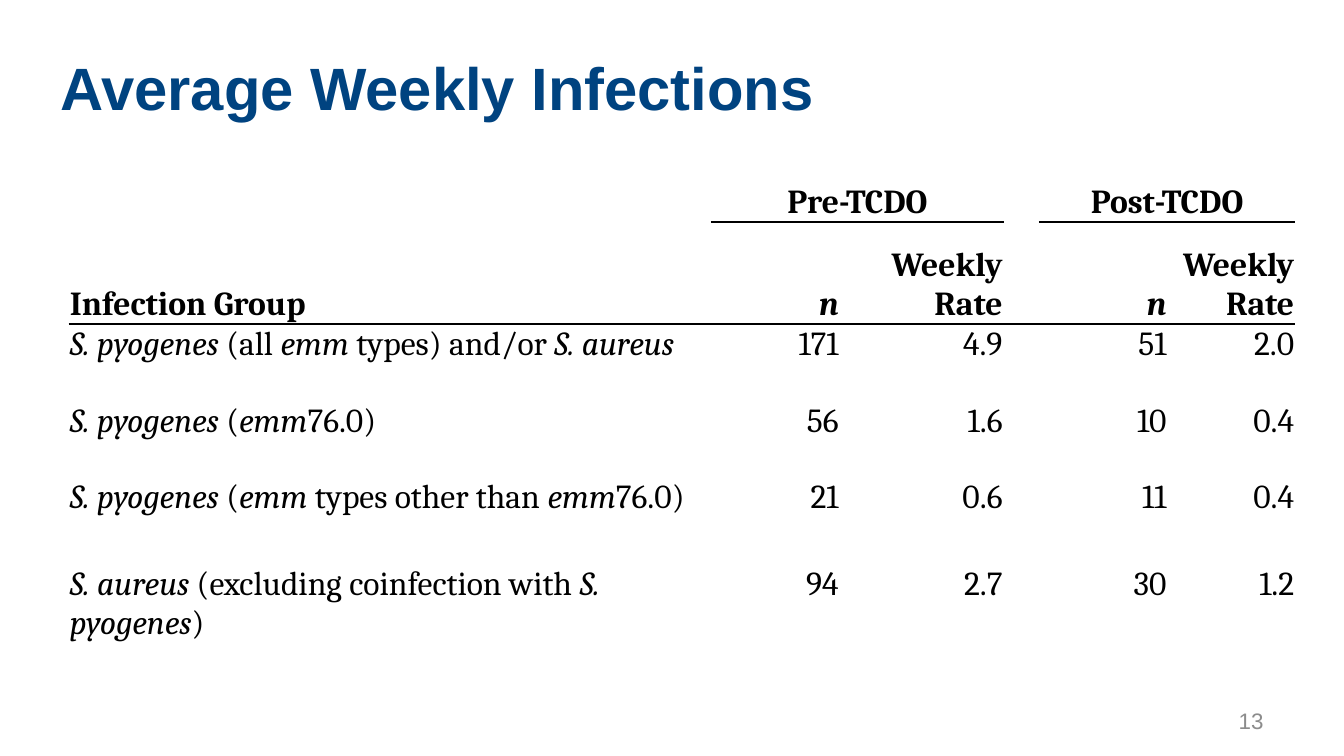
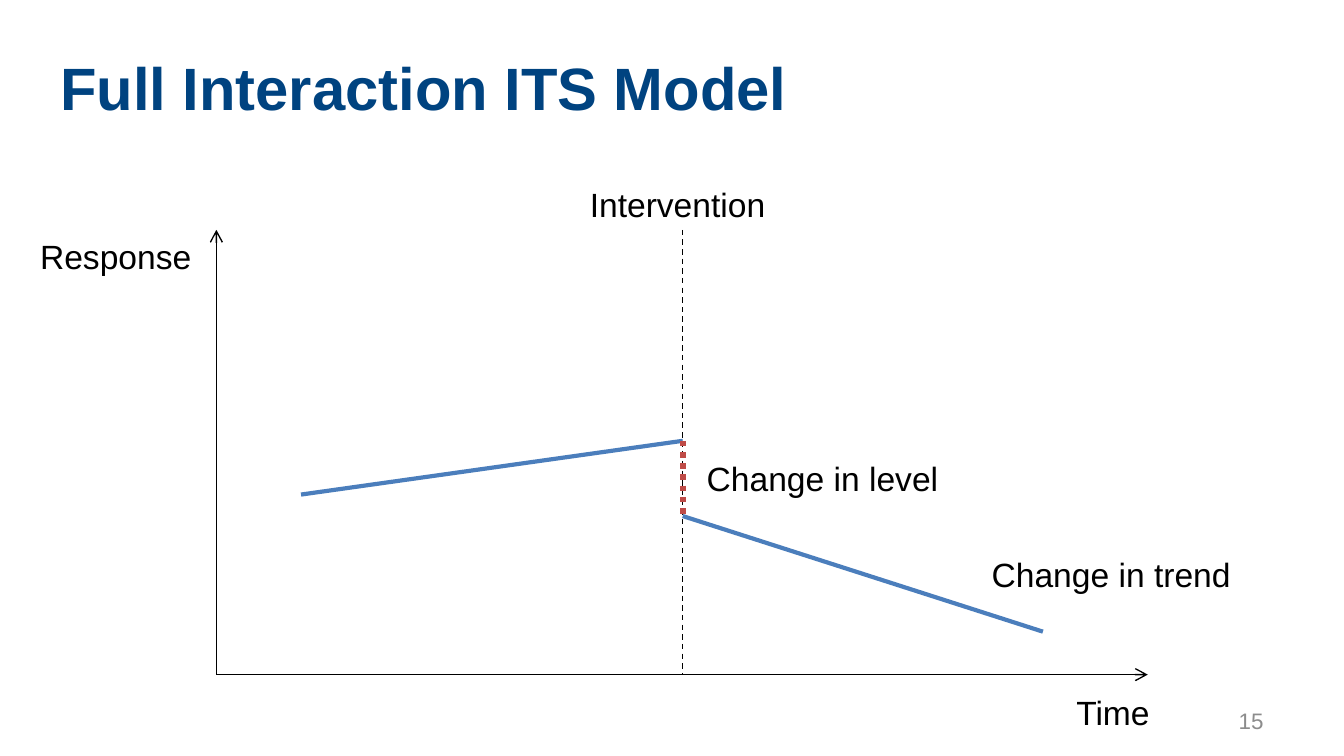
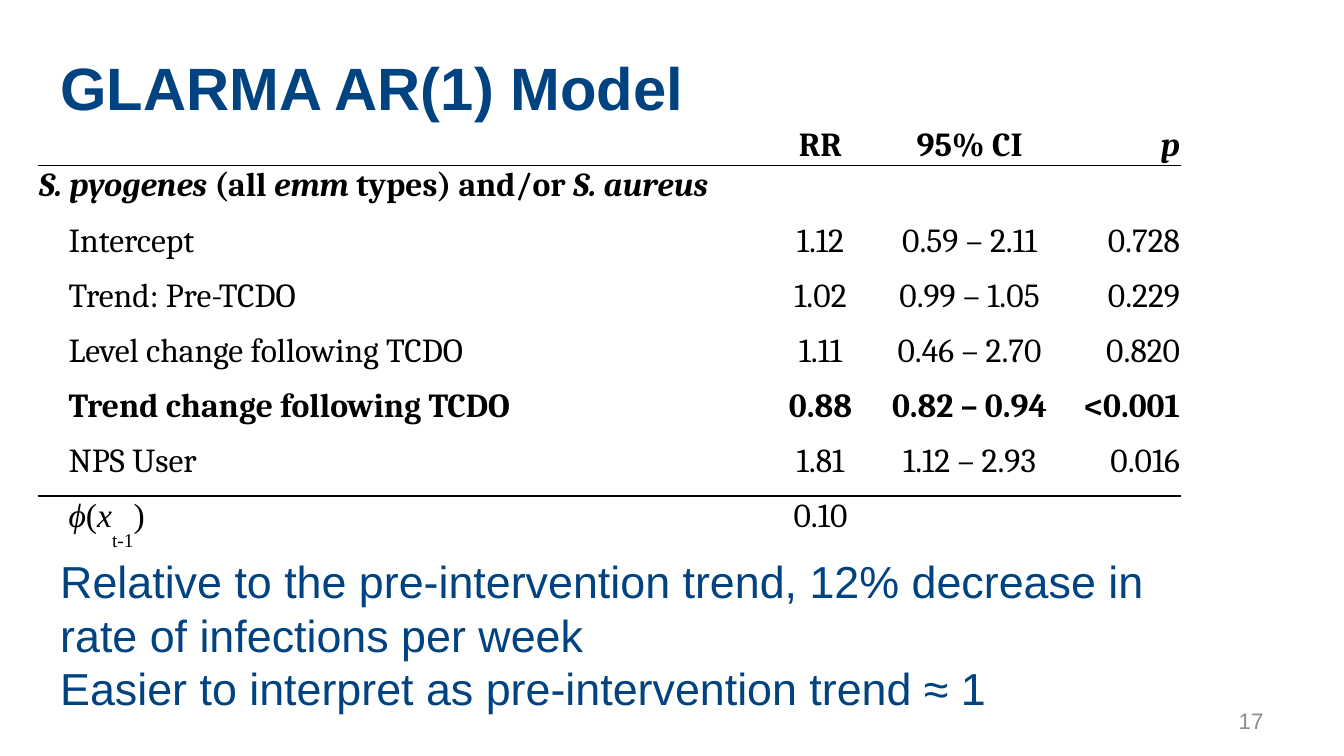
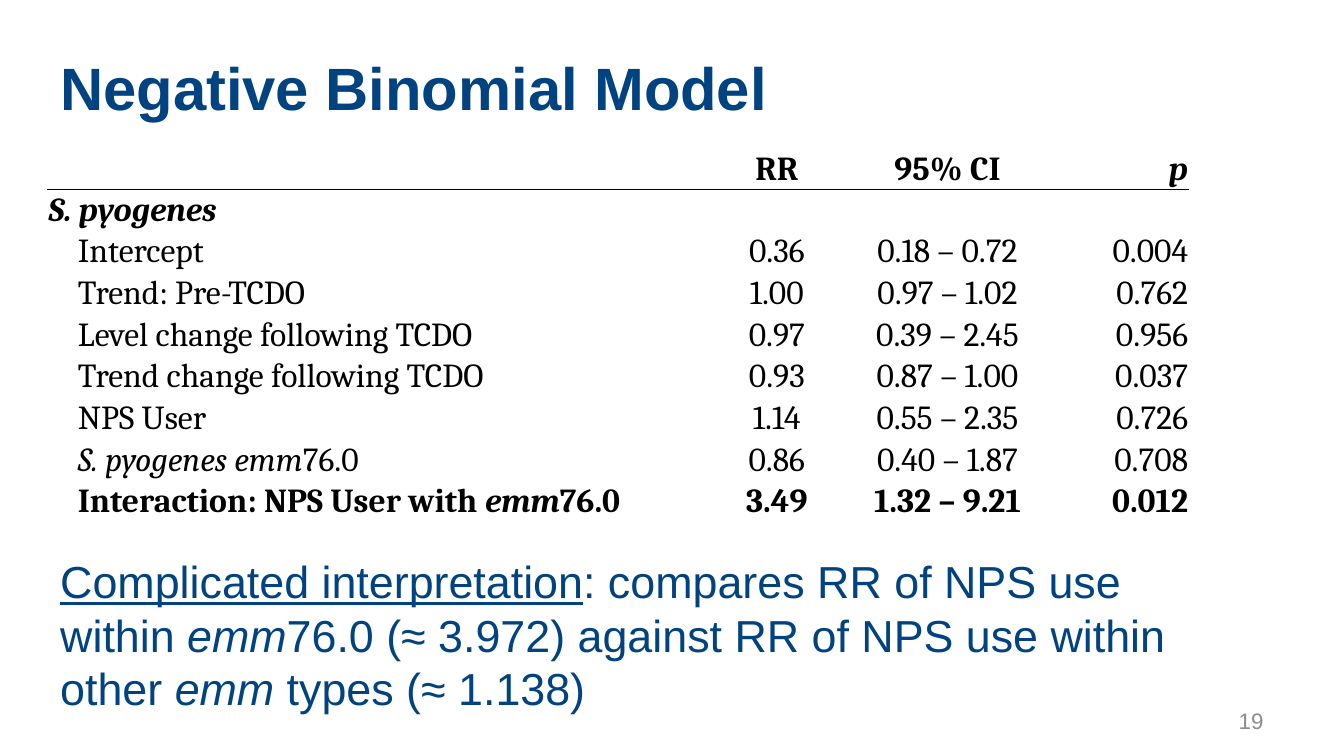
from dataclasses import dataclass

from lxml.etree import SubElement
from pptx import Presentation
from pptx.dml.color import RGBColor
from pptx.enum.dml import MSO_LINE
from pptx.enum.shapes import MSO_CONNECTOR
from pptx.enum.text import MSO_ANCHOR, PP_ALIGN
from pptx.oxml.ns import qn
from pptx.util import Pt

EMU_PER_PX = 9144  # 100 px to the inch
NO_TABLE_STYLE = "{2D5ABB26-0587-4C30-8999-92F81FD0307C}"
ALIGNMENTS = {"l": PP_ALIGN.LEFT, "c": PP_ALIGN.CENTER, "r": PP_ALIGN.RIGHT}


@dataclass(frozen=True)
class Theme:
    navy: str = "004380"
    black: str = "000000"
    grey: str = "8C8C8C"
    blue: str = "4B7EBC"
    red: str = "BF4C48"
    sans: str = "Arial"
    serif: str = "Cambria"
    math: str = "Times New Roman"
    title_size: int = 32
    body_size: int = 24
    label_size: int = 18
    number_size: int = 12
    table_indent: int = 23


THEME = Theme()


def px(length):
    return length * EMU_PER_PX


# Text
def write(paragraph, text, size=THEME.label_size, font=THEME.sans, color=THEME.black,
          bold=False, underline=False, baseline=None):
    """Append text to a paragraph; parts between asterisks are italic."""
    for index, part in enumerate(text.split("*")):
        if not part:
            continue
        run = paragraph.add_run()
        run.text = part
        run.font.size = Pt(size)
        run.font.name = font
        run.font.color.rgb = RGBColor.from_string(color)
        run.font.bold = bold
        run.font.italic = index % 2 == 1
        run.font.underline = underline
        if baseline is not None:
            run.font._element.set("baseline", str(baseline * 1000))


def write_pieces(paragraph, content, **style):
    """Write a string, or a list of (text, format changes) pairs."""
    pieces = [(content, {})] if isinstance(content, str) else content
    for text, changes in pieces:
        write(paragraph, text, **{**style, **changes})


def add_text(slide, box, *paragraphs, align="l", anchor=MSO_ANCHOR.TOP, **style):
    frame = slide.shapes.add_textbox(*map(px, box)).text_frame
    frame.word_wrap = True
    frame.vertical_anchor = anchor
    for index, content in enumerate(paragraphs):
        paragraph = frame.add_paragraph() if index else frame.paragraphs[0]
        paragraph.alignment = ALIGNMENTS[align]
        write_pieces(paragraph, content, **style)


def add_body(slide, height, *paragraphs):
    add_text(slide, (35, 407, 890, height), *paragraphs,
             size=THEME.body_size, color=THEME.navy)


def add_titled_slide(presentation, title, number):
    slide = presentation.slides.add_slide(presentation.slide_layouts[6])
    add_text(slide, (35, 33, 835, 64), title,
             size=THEME.title_size, color=THEME.navy, bold=True)
    add_text(slide, (717, 521, 233, 30), str(number), align="r",
             anchor=MSO_ANCHOR.MIDDLE, size=THEME.number_size, color=THEME.grey)
    return slide


# Lines
def add_line(slide, start, end, color=THEME.black, width=0.75, dash=None, arrow=False):
    connector = slide.shapes.add_connector(
        MSO_CONNECTOR.STRAIGHT, *map(px, (*start, *end)))
    connector.line.color.rgb = RGBColor.from_string(color)
    connector.line.width = Pt(width)
    if dash:
        connector.line.dash_style = dash
    if arrow:
        SubElement(connector.line._ln, qn("a:tailEnd"), type="arrow")
    SubElement(connector._element.spPr, qn("a:effectLst"))


# Tables
def set_border(cell, side, visible):
    border = SubElement(cell._tc.get_or_add_tcPr(), qn(f"a:{side}"), w=str(Pt(1)))
    if visible:
        fill = SubElement(border, qn("a:solidFill"))
        SubElement(fill, qn("a:srgbClr"), val=THEME.black)
    else:
        SubElement(border, qn("a:noFill"))


def add_table(slide, corner, widths, heights, rows, alignments, rules,
              header_rows=1, bold_rows=(), indented_rows=(), merges=()):
    """Draw a table; rules holds the (row, column) cells underlined by a rule."""
    frame = slide.shapes.add_table(
        len(rows), len(widths), *map(px, (*corner, sum(widths), sum(heights))))
    table = frame.table
    table.first_row = table.horz_banding = False
    table._tbl.tblPr.find(qn("a:tableStyleId")).text = NO_TABLE_STYLE
    for column, width in zip(table.columns, widths):
        column.width = px(width)
    for row, height in zip(table.rows, heights):
        row.height = px(height)

    for row, contents in enumerate(rows):
        is_header = row < header_rows
        for column, content in enumerate(contents):
            cell = table.cell(row, column)
            is_indented = column == 0 and row in indented_rows
            cell.margin_left = px(THEME.table_indent if is_indented else 1)
            cell.margin_top = cell.margin_right = px(1)
            cell.margin_bottom = 0
            cell.vertical_anchor = MSO_ANCHOR.BOTTOM if is_header else MSO_ANCHOR.TOP
            paragraph = cell.text_frame.paragraphs[0]
            paragraph.alignment = ALIGNMENTS[alignments[column]]
            if content:
                write_pieces(paragraph, content, font=THEME.serif,
                             bold=is_header or row in bold_rows)
            else:
                SubElement(paragraph._p, qn("a:endParaRPr"), sz="1000")
            set_border(cell, "lnT", (row - 1, column) in rules)
            set_border(cell, "lnB", (row, column) in rules)
            cell.fill.background()

    for row, first, last in merges:
        table.cell(row, first).merge(table.cell(row, last))
        table.cell(row, first).text_frame.paragraphs[0].alignment = PP_ALIGN.CENTER


def add_model_table(slide, corner, widths, heights, group, rows, bold_row, ruled_rows):
    """Draw a table of rate ratios under one group heading."""
    all_rows = [("", "RR", "95% CI", "*p*"), (group, "", "", ""), *rows]
    add_table(slide, corner, widths, heights, all_rows, "lccr",
              {(row, column) for row in ruled_rows for column in range(4)},
              bold_rows=(1, bold_row), indented_rows=range(2, len(all_rows)))


# Slides
def build_infections(presentation):
    slide = add_titled_slide(presentation, "Average Weekly Infections", 13)
    rows = [
        ("", "Pre-TCDO", "", "", "Post-TCDO", ""),
        ("Infection Group", "*n*", "Weekly Rate", "", "*n*", "Weekly Rate"),
        ("*S. pyogenes* (all *emm* types) and/or *S. aureus*",
         "171", "4.9", "", "51", "2.0"),
        ("*S. pyogenes* (*emm*76.0)", "56", "1.6", "", "10", "0.4"),
        ("*S. pyogenes* (*emm* types other than *emm*76.0)",
         "21", "0.6", "", "11", "0.4"),
        ("*S. aureus* (excluding coinfection with *S. pyogenes*)",
         "94", "2.7", "", "30", "1.2"),
    ]
    rules = {(0, column) for column in (1, 2, 4, 5)}
    rules |= {(1, column) for column in range(6)}
    add_table(slide, (51, 132), (478, 96, 122, 26, 96, 95), (33, 76, 57, 57, 65, 65),
              rows, "lrrrrr", rules, header_rows=2, merges=((0, 1, 2), (0, 4, 5)))


def build_interaction_model(presentation):
    slide = add_titled_slide(presentation, "Full Interaction ITS Model", 15)
    left, right, top, bottom = 161, 854, 171, 502
    intervention, level_before, level_after = 508, 328, 384

    # Axes and intervention
    add_line(slide, (left, bottom), (right, bottom), arrow=True)
    add_line(slide, (left, bottom), (left, top), arrow=True)
    add_line(slide, (intervention, top), (intervention, bottom), dash=MSO_LINE.DASH)

    # Trends and the step between them
    add_line(slide, (224, 368), (intervention, level_before), THEME.blue, 2.25)
    add_line(slide, (intervention, level_after), (776, 470), THEME.blue, 2.25)
    add_line(slide, (intervention, level_before), (intervention, level_after),
             THEME.red, 3, MSO_LINE.ROUND_DOT)

    labels = {
        "Intervention": (429, 132, 197),
        "Response": (20, 171, 134),
        "Change in level": (516, 336, 205),
        "Change in trend": (728, 407, 228),
        "Time": (791, 510, 150),
    }
    for label, (x, y, width) in labels.items():
        add_text(slide, (x, y, width, 40), label)


def build_autoregressive_model(presentation):
    slide = add_titled_slide(presentation, "GLARMA AR(1) Model", 17)
    autoregression = [("*ϕ*(*x*", {"font": THEME.math}),
                      ("t-1", {"font": THEME.math, "baseline": -60}),
                      (")", {"font": THEME.math})]
    rows = [
        ("Intercept", "1.12", "0.59 – 2.11", "0.728"),
        ("Trend: Pre-TCDO", "1.02", "0.99 – 1.05", "0.229"),
        ("Level change following TCDO", "1.11", "0.46 – 2.70", "0.820"),
        ("Trend change following TCDO", "0.88", "0.82 – 0.94", "<0.001"),
        ("NPS User", "1.81", "1.12 – 2.93", "0.016"),
        (autoregression, "0.10", "", ""),
    ]
    add_model_table(slide, (28, 92), (536, 93, 129, 93), [29] + [41] * 7,
                    "*S. pyogenes *(all *emm *types) and/or *S. aureus*",
                    rows, bold_row=5, ruled_rows=(0, 6))
    add_body(slide, 172,
             "Relative to the pre-intervention trend, 12% decrease in rate of "
             "infections per week",
             "Easier to interpret as pre-intervention trend ≈ 1")


def build_binomial_model(presentation):
    slide = add_titled_slide(presentation, "Negative Binomial Model", 19)
    add_body(slide, 131, [
        ("Complicated interpretation", {"underline": True}),
        (": compares RR of NPS use within *emm*76.0 (≈ 3.972) against RR of NPS use "
         "within other *emm* types (≈ 1.138)", {}),
    ])
    rows = [
        ("Intercept", "0.36", "0.18 – 0.72", "0.004"),
        ("Trend: Pre-TCDO", "1.00", "0.97 – 1.02", "0.762"),
        ("Level change following TCDO", "0.97", "0.39 – 2.45", "0.956"),
        ("Trend change following TCDO", "0.93", "0.87 – 1.00", "0.037"),
        ("NPS User", "1.14", "0.55 – 2.35", "0.726"),
        ("*S. pyogenes emm*76.0", "0.86", "0.40 – 1.87", "0.708"),
        ("Interaction: NPS User with *emm*76.0", "3.49", "1.32 – 9.21", "0.012"),
    ]
    add_model_table(slide, (35, 108), (490, 106, 148, 106), [33] + [31] * 8,
                    "*S. pyogenes*", rows, bold_row=8, ruled_rows=(0,))


def main():
    presentation = Presentation()
    presentation.slide_width = px(1000)
    presentation.slide_height = presentation.slide_width * 9 // 16
    build_infections(presentation)
    build_interaction_model(presentation)
    build_autoregressive_model(presentation)
    build_binomial_model(presentation)
    presentation.save("out.pptx")


if __name__ == "__main__":
    main()
